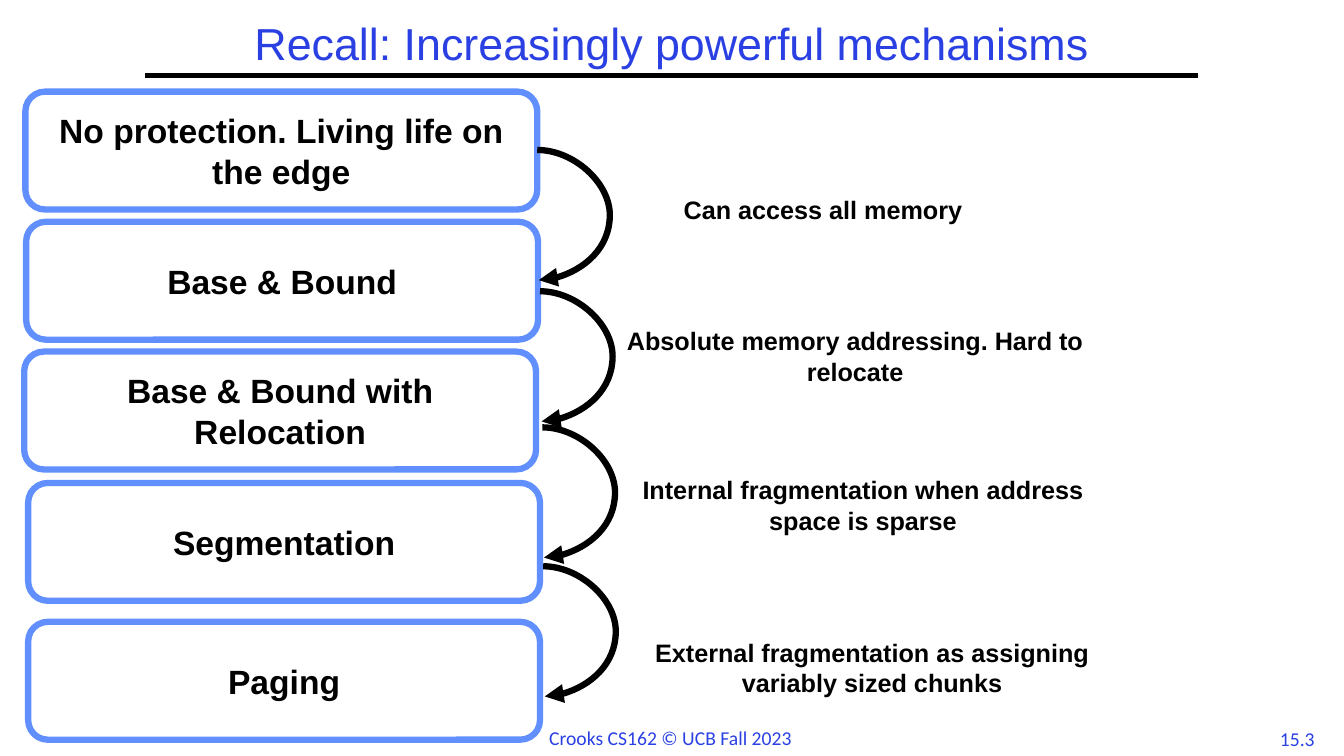
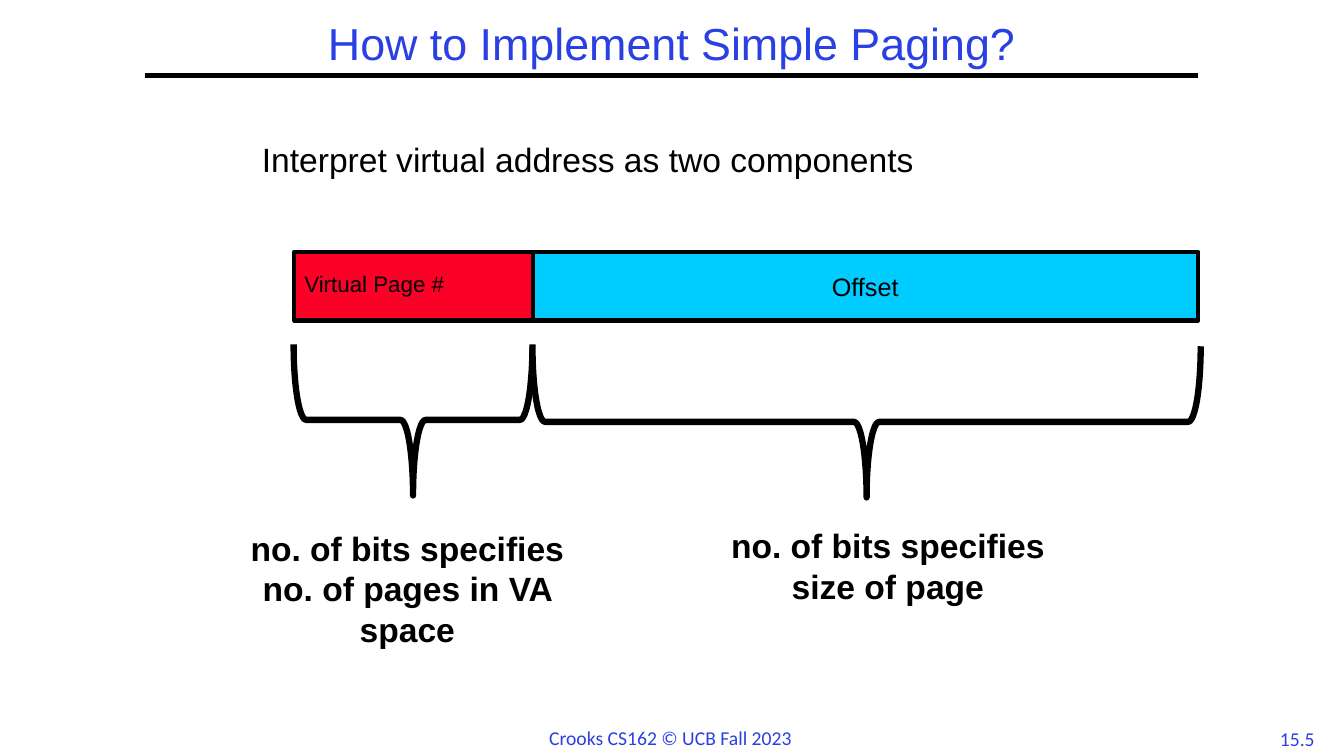
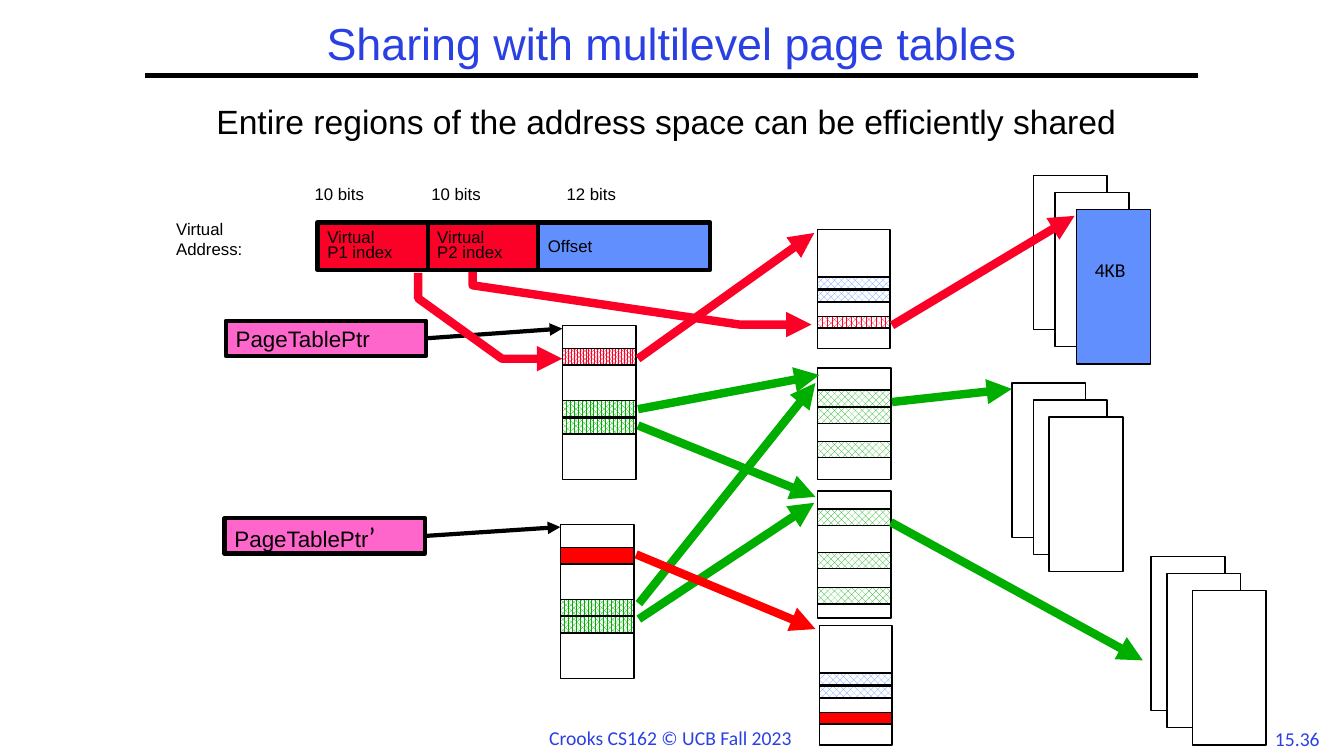
from lxml import etree
from pptx import Presentation
from pptx.dml.color import RGBColor
from pptx.enum import dml, shapes, text
from pptx.oxml.ns import qn
from pptx.util import Cm, Pt

BLACK, WHITE, TITLE_BLUE, BLUE = "000000", "FFFFFF", "2A40E2", "618FFD"
RED, PURE_RED, GREEN = "FC0128", "FF0000", "00AE00"
PINK, CYAN = "FF66CC", "00CCFF"
LEFT, CENTER = text.PP_ALIGN.LEFT, text.PP_ALIGN.CENTER
PATTERN = dml.MSO_PATTERN
RECTANGLE = shapes.MSO_SHAPE.RECTANGLE
STRAIGHT = shapes.MSO_CONNECTOR.STRAIGHT


def paint(shape, line, width, fill=None, pattern=None, arrow=False):
    """Set the outline, fill and arrowhead of a shape or connector, without shadow."""
    shape.line.color.rgb = RGBColor.from_string(line)
    shape.line.width = Pt(width)
    properties = shape.element.spPr
    if arrow:
        etree.SubElement(properties.find(qn("a:ln")), qn("a:tailEnd"), type="triangle")
    if not hasattr(shape, "fill"):
        etree.SubElement(properties, qn("a:effectLst"))
        return
    shape.shadow.inherit = False
    if fill is None:
        shape.fill.background()
    elif pattern is None:
        shape.fill.solid()
        shape.fill.fore_color.rgb = RGBColor.from_string(fill)
    else:
        shape.fill.patterned()
        shape.fill.pattern = pattern
        shape.fill.fore_color.rgb = RGBColor.from_string(fill)
        shape.fill.back_color.rgb = RGBColor.from_string(WHITE)


def write(shape, words, size, align=LEFT, bold=False, color=BLACK, font="Arial",
          spacing=None, wrap=True):
    shape.text_frame.text = words
    shape.text_frame.word_wrap = wrap
    for paragraph in shape.text_frame.paragraphs:
        paragraph.alignment = align
        paragraph.line_spacing = spacing
        for run in paragraph.runs:
            run.font.size = Pt(size)
            run.font.name = font
            run.font.bold = bold
            run.font.color.rgb = RGBColor.from_string(color)


presentation = Presentation()
presentation.slide_width, presentation.slide_height = Cm(33.87), Cm(19.05)

# Title, rule and footer of every slide
for title, number, margin in [
    ("Recall: Increasingly powerful mechanisms", "15.3", 0),
    ("How to Implement Simple Paging?", "15.5", 3.66),
    ("Sharing with multilevel page tables", "15.36", 3.66),
]:
    slide = presentation.slides.add_slide(presentation.slide_layouts[6])
    number_box = slide.shapes.add_textbox(Cm(31.83), Cm(18.19), Cm(1.73), Cm(0.84))
    write(number_box, number, 14, CENTER, color=TITLE_BLUE, font="Calibri", wrap=False)
    rule = slide.shapes.add_connector(STRAIGHT, Cm(3.66), Cm(1.9), Cm(30.2), Cm(1.9))
    paint(rule, BLACK, 3)
    footer = slide.shapes.add_textbox(Cm(13.59), Cm(18.16), Cm(6.68), Cm(0.86))
    write(footer, "Crooks CS162 © UCB Fall 2023", 14, color=TITLE_BLUE, font="Calibri", wrap=False)
    title_box = slide.shapes.add_textbox(Cm(margin), Cm(0.43), Cm(33.87 - 2 * margin), Cm(1.47))
    title_box.text_frame.vertical_anchor = text.MSO_ANCHOR.MIDDLE
    write(title_box, title, 32, CENTER, color=TITLE_BLUE, spacing=0.9)

mechanisms_slide, paging_slide, sharing_slide = presentation.slides

# Slide 1: mechanisms, and the weakness that leads from each to the next
for left, top, mechanism in [
    (0.64, 2.31, "No protection. Living life on the edge"),
    (0.66, 5.59, "Base & Bound"),
    (0.61, 8.86, "Base & Bound with Relocation"),
    (0.71, 12.17, "Segmentation"),
    (0.71, 15.67, "Paging"),
]:
    box = mechanisms_slide.shapes.add_shape(
        shapes.MSO_SHAPE.ROUNDED_RECTANGLE, Cm(left), Cm(top), Cm(12.9), Cm(2.97))
    paint(box, BLUE, 4.5, WHITE)
    write(box, mechanism, 24, CENTER, bold=True)

CURVE_WIDTH, CURVE_HEIGHT, CURVE_BULGE = 0.04, 3.28, 1.83
for x, y, left, top, width, height, weakness in [
    (13.54, 3.78, 12.27, 4.78, 16.94, 1.02, "Can access all memory"),
    (13.61, 7.34, 15.24, 8.08, 12.62, 1.8, "Absolute memory addressing. Hard to relocate"),
    (13.67, 10.77, 15.44, 11.84, 12.62, 1.8, "Internal fragmentation when address space is sparse"),
    (13.69, 14.27, 15.67, 15.93, 12.62, 1.8,
     "External fragmentation as assigning variably sized chunks"),
]:
    curve = mechanisms_slide.shapes.add_connector(
        shapes.MSO_CONNECTOR.CURVE, Cm(x), Cm(y), Cm(x + CURVE_WIDTH), Cm(y + CURVE_HEIGHT))
    adjustments = curve.element.spPr.find(qn("a:prstGeom")).get_or_add_avLst()
    bulge = round(CURVE_BULGE / CURVE_WIDTH * 100000)
    etree.SubElement(adjustments, qn("a:gd"), name="adj1", fmla=f"val {bulge}")
    paint(curve, BLACK, 4.5, arrow=True)
    note = mechanisms_slide.shapes.add_textbox(Cm(left), Cm(top), Cm(width), Cm(height))
    write(note, weakness, 18, CENTER, bold=True)

# Slide 2: the two parts of a virtual address
statement = paging_slide.shapes.add_textbox(Cm(6.35), Cm(3.38), Cm(22.94), Cm(1.27))
write(statement, "Interpret virtual address as two components", 24)

for left, width, color, label, size, align, spacing in [
    (13.41, 16.79, CYAN, "Offset", 18, CENTER, None),
    (7.42, 6.02, RED, "Virtual Page #", 16, LEFT, 0.75),
]:
    field = paging_slide.shapes.add_shape(RECTANGLE, Cm(left), Cm(6.35), Cm(width), Cm(1.73))
    paint(field, BLACK, 3, color)
    write(field, label, size, align, spacing=spacing)

BRACE_DEPTH = 3.81
for center_x, center_y, span, left, top, height, meaning in [
    (10.41, 10.58, 6.02, 5.72, 13.18, 4.37, "no. of bits specifies no. of pages in VA space"),
    (21.84, 10.63, 16.84, 17.83, 13.11, 3.33, "no. of bits specifies size of page"),
]:
    brace = paging_slide.shapes.add_shape(
        shapes.MSO_SHAPE.LEFT_BRACE, Cm(center_x - BRACE_DEPTH / 2), Cm(center_y - span / 2),
        Cm(BRACE_DEPTH), Cm(span))
    brace.rotation = 270
    paint(brace, BLACK, 4.5, WHITE)
    caption = paging_slide.shapes.add_textbox(Cm(left), Cm(top), Cm(9.09), Cm(height))
    write(caption, meaning, 24, CENTER, bold=True)

# Slide 3: memory pages
for lefts, top, front_color in [
    ((26.04, 26.59, 27.13), 4.42, BLUE),
    ((25.5, 26.04, 26.44), 9.65, WHITE),
    ((29.01, 29.41, 30.05), 14.02, WHITE),
]:
    for index, left in enumerate(lefts):
        page = sharing_slide.shapes.add_shape(
            RECTANGLE, Cm(left), Cm(top + 0.43 * index), Cm(1.86), Cm(3.89))
        paint(page, BLACK, 1, front_color if index == 2 else WHITE)

# Virtual address
for left, top, width, label, font, size in [
    (7.75, 4.6, 2.13, "10 bits", "Arial", 12),
    (10.69, 4.6, 2.13, "10 bits", "Arial", 12),
    (14.1, 4.6, 2.13, "12 bits", "Arial", 12),
    (27.41, 6.48, 1.3, "4KB", "Calibri", 14),
]:
    size_label = sharing_slide.shapes.add_textbox(Cm(left), Cm(top), Cm(width), Cm(0.65))
    frame = size_label.text_frame
    frame.margin_left = frame.margin_right = Cm(0.18)
    frame.margin_top = frame.margin_bottom = Cm(0.08)
    write(size_label, label, size, font=font, spacing=0.9, wrap=False)

address_label = sharing_slide.shapes.add_textbox(Cm(4.19), Cm(5.38), Cm(2.54), Cm(1.27))
write(address_label, "Virtual\nAddress:", 12)

for left, width, color, label, spacing in [
    (13.56, 4.34, BLUE, "Offset", None),
    (10.77, 2.79, RED, "Virtual\nP2 index", 0.75),
    (8, 2.79, RED, "Virtual\nP1 index", 0.75),
]:
    field = sharing_slide.shapes.add_shape(RECTANGLE, Cm(left), Cm(5.61), Cm(width), Cm(1.19))
    paint(field, BLACK, 3, color)
    write(field, label, 12, spacing=spacing)

# Page tables: entries are (offset from the table's top, colour, pattern)
shared_entries = [(1.9, GREEN, PATTERN.PERCENT_75), (2.33, GREEN, PATTERN.PERCENT_75)]
private_entries = [(1.19, BLUE, PATTERN.PERCENT_50), (1.52, BLUE, PATTERN.PERCENT_50)]
for left, top, width, height, entry_height, entries in [
    (14.17, 8.2, 1.86, 3.89, 0.41, [(0.59, RED, PATTERN.PERCENT_80)] + shared_entries),
    (14.12, 13.21, 1.86, 3.89, 0.41, [(0.59, PURE_RED, None)] + shared_entries),
    (20.6, 5.79, 1.83, 3, 0.3, private_entries + [(2.18, RED, PATTERN.PERCENT_70)]),
    (20.65, 15.77, 1.83, 3, 0.3, private_entries + [(2.18, PURE_RED, None)]),
    (20.6, 9.27, 1.86, 2.82, 0.41,
     [(offset, GREEN, PATTERN.PERCENT_50) for offset in (0.56, 0.99, 1.85)]),
    (20.6, 12.37, 1.86, 3.2, 0.41,
     [(offset, GREEN, PATTERN.PERCENT_50) for offset in (0.46, 1.55, 2.44)]),
]:
    table_frame = sharing_slide.shapes.add_shape(
        RECTANGLE, Cm(left), Cm(top), Cm(width), Cm(height))
    paint(table_frame, BLACK, 1)
    for offset, color, pattern in entries:
        entry = sharing_slide.shapes.add_shape(
            RECTANGLE, Cm(left), Cm(top + offset), Cm(width), Cm(entry_height))
        paint(entry, BLACK, 1, color, pattern)

# Page table pointers
for left, top, end_x, end_y, prime in [
    (5.69, 8.08, 14.17, 8.28, ""),
    (5.66, 13.06, 14.12, 13.28, "’"),
]:
    pointer = sharing_slide.shapes.add_shape(RECTANGLE, Cm(left), Cm(top), Cm(5.05), Cm(0.89))
    paint(pointer, BLACK, 3, PINK)
    write(pointer, "PageTablePtr", 16)
    if prime:
        run = pointer.text_frame.paragraphs[0].add_run()
        run.text = prime
        run.font.size = Pt(20)
        run.font.name = "Calibri"
        run.font.color.rgb = RGBColor.from_string(BLACK)
    arrow = sharing_slide.shapes.add_connector(
        STRAIGHT, Cm(left), Cm(top), Cm(end_x), Cm(end_y))
    arrow.begin_connect(pointer, 3)
    paint(arrow, BLACK, 3, arrow=True)

# Lookups: from index fields to entries, then from entries to tables and pages
for points in [
    [(10.54, 6.88), (10.54, 7.52), (12.65, 9.04), (14.17, 9.04)],
    [(11.91, 6.86), (11.91, 7.19), (18.64, 8.18), (20.45, 8.18)],
]:
    corners = [(Cm(x), Cm(y)) for x, y in points]
    builder = sharing_slide.shapes.build_freeform(*corners[0])
    builder.add_line_segments(corners[1:], close=False)
    paint(builder.convert_to_shape(), RED, 6, arrow=True)

for start_x, start_y, end_x, end_y, color in [
    (16.08, 9.04, 20.52, 5.87, RED),
    (16.08, 10.31, 20.65, 9.45, GREEN),
    (16.08, 10.72, 20.55, 12.52, GREEN),
    (16.1, 15.6, 20.52, 12.67, GREEN),
    (16.1, 15.21, 20.55, 9.65, GREEN),
    (16.03, 13.97, 20.55, 15.85, PURE_RED),
    (22.48, 8.2, 27.08, 5.44, RED),
    (22.48, 10.13, 25.5, 9.8, GREEN),
    (22.45, 13.16, 28.8, 16.64, GREEN),
]:
    lookup = sharing_slide.shapes.add_connector(
        STRAIGHT, Cm(start_x), Cm(start_y), Cm(end_x), Cm(end_y))
    paint(lookup, color, 6, arrow=True)

statement = sharing_slide.shapes.add_textbox(Cm(3.53), Cm(2.54), Cm(26.52), Cm(2.44))
write(statement, "Entire regions of the address space can be efficiently shared", 24, CENTER,
      spacing=0.9)

presentation.save("out.pptx")
